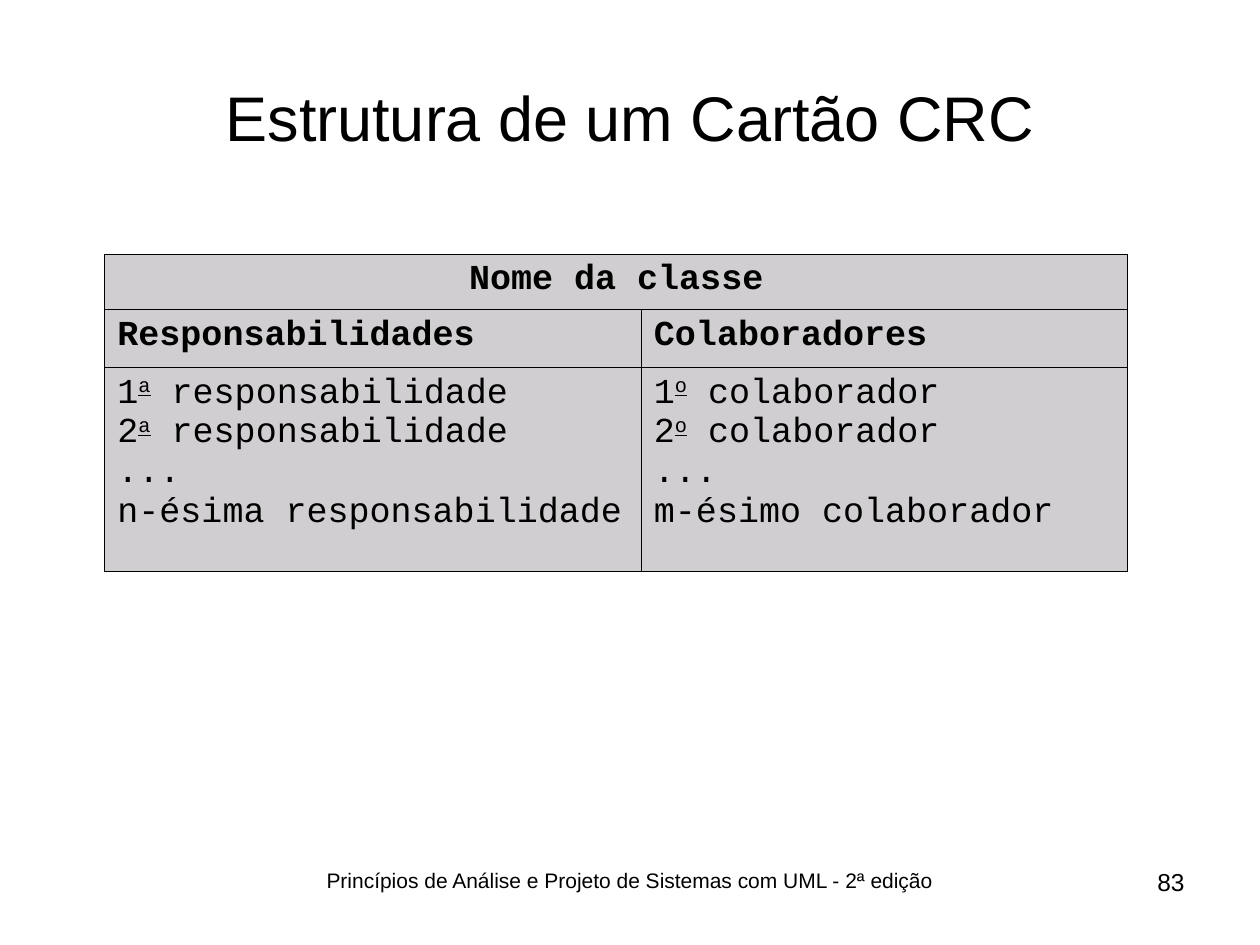
"""Builds the slide that shows the structure of a CRC card."""
from dataclasses import dataclass

from lxml import etree
from pptx import Presentation
from pptx.dml.color import RGBColor
from pptx.enum import text
from pptx.oxml import ns
from pptx.util import Pt

AL = text.PP_ALIGN


@dataclass(frozen=True)
class Theme:
    """Colours, fonts and type sizes of the slide."""
    ink: str = "000000"
    card: str = "D0CED0"
    sans: str = "Arial"
    mono: str = "Courier New"
    title: float = 36
    body: float = 20
    footer: float = 12
    number: float = 14
    border: float = 0.45
    indent: float = 27


@dataclass(frozen=True)
class Run:
    """A piece of text with one format."""
    text: str
    bold: bool = False
    ordinal: bool = False


@dataclass(frozen=True)
class Cell:
    """The lines of one card cell and where it stands."""
    row: int
    col: int
    lines: list[list[Run]]
    align: AL = AL.LEFT


@dataclass(frozen=True)
class Label:
    """A one-line text with its place in points."""
    text: str
    box: tuple[float, float, float, float]
    size: float
    align: AL


TH = Theme()
COLS, ROWS = (306.6, 278), (31.5, 33.2, 116.7)
CARD_LEFT, CARD_TOP = 59.9, 145.4
TITLE = Label("Estrutura de um Cartão CRC", (36, 21.6, 648, 90), TH.title, AL.CENTER)
LABELS = [
    Label("Princípios de Análise e Projeto de Sistemas com UML - 2ª edição",
          (138, 492, 444, 37.5), TH.footer, AL.CENTER),
    Label("83", (588, 492, 96, 37.5), TH.number, AL.RIGHT),
]


def numbered(noun: str, mark: str, last: str) -> list[list[Run]]:
    """Lists the first, second and last of a series."""
    firsts = [[Run(n), Run(mark, ordinal=True), Run(f" {noun}")] for n in "12"]
    return firsts + [[Run("...")], [Run(f"{last} {noun}")]]


CELLS = [
    Cell(0, 0, [[Run("Nome da classe", bold=True)]], AL.CENTER),
    Cell(1, 0, [[Run("Responsabilidades", bold=True)]]),
    Cell(1, 1, [[Run("Colaboradores", bold=True)]]),
    Cell(2, 0, numbered("responsabilidade", "a", "n-ésima")),
    Cell(2, 1, numbered("colaborador", "o", "m-ésimo")),
]


def add_run(p, run: Run, font: str, size: float) -> None:
    """Adds one formatted run to a paragraph."""
    r = p.add_run()
    r.text = run.text
    f = r.font
    f.name, f.size, f.bold = font, Pt(size), run.bold
    f.color.rgb = RGBColor.from_string(TH.ink)
    if run.ordinal:
        f.underline = True
        r._r.get_or_add_rPr().set("baseline", "30000")


def write_label(sp, label: Label) -> None:
    """Places a shape and writes its label."""
    sp.left, sp.top, sp.width, sp.height = (Pt(v) for v in label.box)
    tf = sp.text_frame
    tf.word_wrap = True
    p = tf.paragraphs[0]
    p.alignment = label.align
    add_run(p, Run(label.text), TH.sans, label.size)


def style_cell(cell) -> None:
    """Gives a cell its borders and fill."""
    tcPr = cell._tc.get_or_add_tcPr()
    for side in ("a:lnL", "a:lnR", "a:lnT", "a:lnB"):
        ln = etree.SubElement(tcPr, ns.qn(side), w=str(int(Pt(TH.border))))
        fill = etree.SubElement(ln, ns.qn("a:solidFill"))
        etree.SubElement(fill, ns.qn("a:srgbClr"), val=TH.ink)
    cell.fill.solid()
    cell.fill.fore_color.rgb = RGBColor.from_string(TH.card)


def write_cell(cell, content: Cell) -> None:
    """Writes the lines of a cell with a hanging indent."""
    tf = cell.text_frame
    for i, line in enumerate(content.lines):
        p = tf.paragraphs[0] if i == 0 else tf.add_paragraph()
        p.alignment = content.align
        pPr = p._p.get_or_add_pPr()
        pPr.set("marL", str(int(Pt(TH.indent))))
        pPr.set("indent", str(-int(Pt(TH.indent))))
        for run in line:
            add_run(p, run, TH.mono, TH.body)


def add_card(s) -> None:
    """Draws the CRC card as a table."""
    tb = s.shapes.add_table(len(ROWS), len(COLS), Pt(CARD_LEFT), Pt(CARD_TOP),
                            Pt(sum(COLS)), Pt(sum(ROWS))).table
    tb.first_row = tb.horz_banding = False
    for col, width in zip(tb.columns, COLS):
        col.width = Pt(width)
    for row, height in zip(tb.rows, ROWS):
        row.height = Pt(height)
    tb.cell(0, 0).merge(tb.cell(0, 1))
    for cell in tb.iter_cells():
        style_cell(cell)
    for content in CELLS:
        write_cell(tb.cell(content.row, content.col), content)


def main() -> None:
    """Builds and saves the presentation."""
    prs = Presentation()
    prs.slide_width, prs.slide_height = Pt(720), Pt(540)
    s = prs.slides.add_slide(prs.slide_layouts[5])
    s.shapes.title.text_frame.vertical_anchor = text.MSO_ANCHOR.MIDDLE
    write_label(s.shapes.title, TITLE)
    add_card(s)
    for label in LABELS:
        write_label(s.shapes.add_textbox(*(Pt(v) for v in label.box)), label)
    prs.save("out.pptx")


if __name__ == "__main__":
    main()
